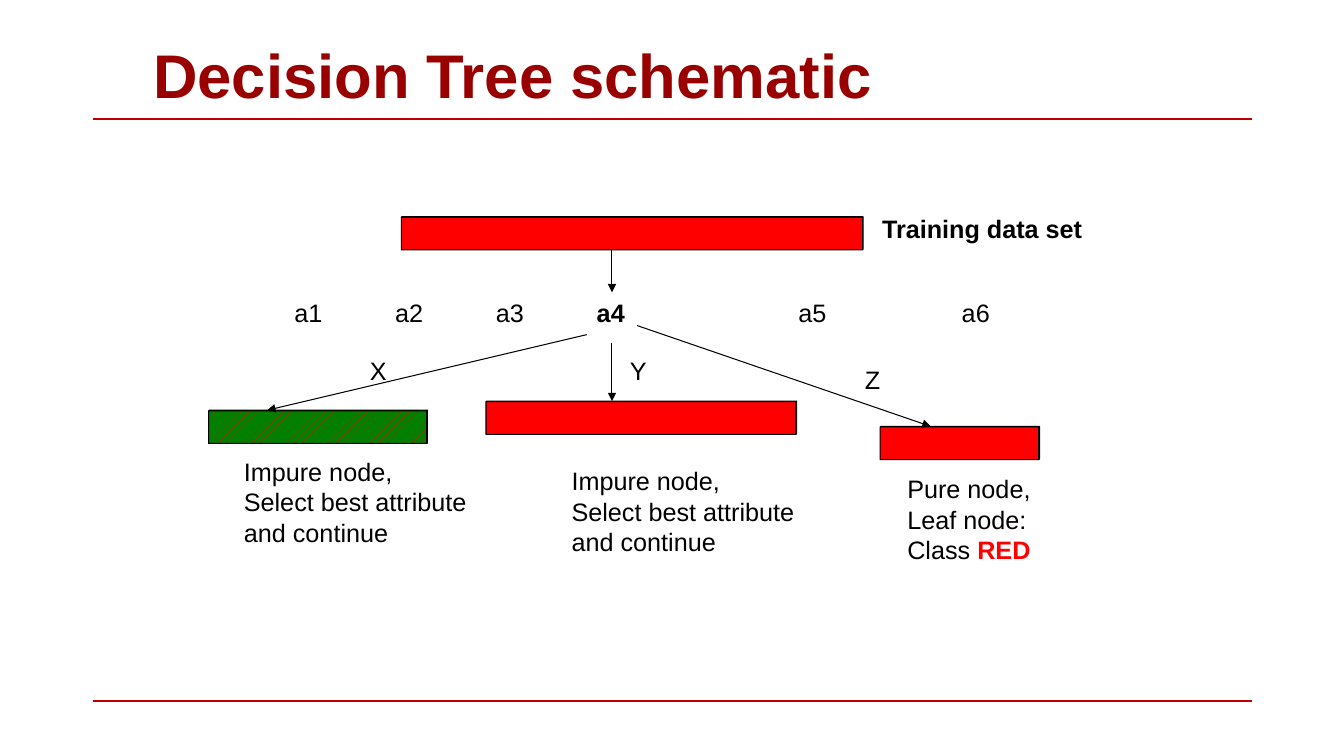
from dataclasses import dataclass
from typing import Any

from lxml import etree
from pptx import Presentation
from pptx import util as u
from pptx.dml.color import RGBColor
from pptx.enum import dml, shapes, text
from pptx.oxml import ns

EMU_PER_PX = 9144  # 100 px to the inch
BAR_HEIGHT = 33
BAR_DEPTH = 0.018
DARK_RED = RGBColor(0x99, 0x00, 0x00)
RULE_RED = RGBColor(0xC0, 0x00, 0x00)
RED = RGBColor(0xFF, 0x00, 0x00)
GREEN = RGBColor(0x00, 0x80, 0x00)
BLACK = RGBColor(0x00, 0x00, 0x00)
BODY = {"name": "Arial", "size": u.Pt(18), "bold": False}
BOLD = {"bold": True}
STRIPES = dml.MSO_PATTERN.DARK_VERTICAL
DASHES = dml.MSO_PATTERN.DASHED_UPWARD_DIAGONAL


@dataclass(frozen=True)
class Bar:
    left: int
    top: int
    width: int
    pattern: Any = None


@dataclass(frozen=True)
class Run:
    words: str
    color: RGBColor = BLACK
    bold: bool = False


@dataclass(frozen=True)
class Label:
    left: int
    top: int
    width: int
    height: int
    lines: tuple[tuple[Run, ...], ...]
    wrap: bool = False
    tabs: tuple[int, ...] = ()


@dataclass(frozen=True)
class Line:
    start: tuple[int, int]
    end: tuple[int, int]


IMPURE = ((Run("Impure node,"),), (Run("Select best attribute"),), (Run("and continue"),))
PURE = ((Run("Pure node,"),), (Run("Leaf node:"),), (Run("Class "), Run("RED", RED, True)))
ATTRIBUTES = (Run("a1\ta2\ta3\t"), Run("a4", bold=True), Run("\ta5\ta6"))

RULES = [Line((92, y), (1242, y)) for y in (118, 695)]
BARS = [
    Bar(398, 215, 458, STRIPES),
    Bar(207, 407, 217, DASHES),
    Bar(482, 398, 308, STRIPES),
    Bar(873, 423, 158),
]
ARROWS = [
    Line((607, 248), (607, 290)),
    Line((582, 332), (265, 407)),
    Line((607, 340), (607, 398)),
    Line((632, 323), (923, 423)),
]
LABELS = [
    Label(865, 207, 292, 40, ((Run("Training data set", bold=True),),), wrap=True),
    Label(282, 290, 742, 40, (ATTRIBUTES,), wrap=True, tabs=(100, 200, 300, 500, 662)),
    Label(357, 348, 37, 40, ((Run("X"),),)),
    Label(615, 348, 37, 40, ((Run("Y"),),)),
    Label(848, 357, 35, 40, ((Run("Z"),),)),
    Label(232, 448, 241, 100, IMPURE),
    Label(557, 457, 241, 100, IMPURE),
    Label(890, 465, 142, 100, PURE),
]


def px(length: int) -> u.Emu:
    return u.Emu(length * EMU_PER_PX)


def apply(target: Any, values: dict[str, Any]) -> None:
    for name, value in values.items():
        setattr(target, name, value)


def add_line(slide: Any, line: Line, color: RGBColor, width: float, arrow: bool) -> None:
    connector = slide.shapes.add_connector(
        shapes.MSO_CONNECTOR.STRAIGHT, *map(px, line.start + line.end)
    )
    connector.line.color.rgb = color
    connector.line.width = u.Pt(width)
    if arrow:
        outline = connector.line._get_or_add_ln()
        etree.SubElement(outline, ns.qn("a:tailEnd"), type="triangle")
    etree.SubElement(connector._element.spPr, ns.qn("a:effectLst"))


def add_bar(slide: Any, bar: Bar) -> None:
    shape = slide.shapes.add_shape(
        shapes.MSO_SHAPE.CUBE, px(bar.left), px(bar.top), px(bar.width), px(BAR_HEIGHT)
    )
    shape.adjustments[0] = BAR_DEPTH
    shape.shadow.inherit = False
    if bar.pattern is None:
        shape.fill.solid()
        shape.fill.fore_color.rgb = RED
    else:
        shape.fill.patterned()
        shape.fill.pattern = bar.pattern
        shape.fill.fore_color.rgb = RED
        shape.fill.back_color.rgb = GREEN
    shape.line.color.rgb = BLACK
    shape.line.width = u.Pt(0.75)


def add_tabs(paragraph: Any, tabs: tuple[int, ...]) -> None:
    tab_list = etree.SubElement(paragraph._p.get_or_add_pPr(), ns.qn("a:tabLst"))
    for position in tabs:
        etree.SubElement(tab_list, ns.qn("a:tab"), pos=str(px(position)), algn="l")


def add_label(slide: Any, label: Label) -> None:
    box = slide.shapes.add_textbox(
        px(label.left), px(label.top), px(label.width), px(label.height)
    )
    frame = box.text_frame
    apply(frame, {"word_wrap": label.wrap, "auto_size": text.MSO_AUTO_SIZE.SHAPE_TO_FIT_TEXT})
    for index, line in enumerate(label.lines):
        paragraph = frame.add_paragraph() if index else frame.paragraphs[0]
        if label.tabs:
            add_tabs(paragraph, label.tabs)
        for part in line:
            run = paragraph.add_run()
            run.text = part.words
            apply(run.font, BODY | {"bold": part.bold})
            run.font.color.rgb = part.color


def add_title(slide: Any, words: str) -> None:
    box = slide.shapes.add_textbox(px(142), px(11), px(900), px(125))
    frame = box.text_frame
    apply(frame, {"word_wrap": True, "vertical_anchor": text.MSO_ANCHOR.MIDDLE})
    run = frame.paragraphs[0].add_run()
    run.text = words
    apply(run.font, BODY | BOLD | {"size": u.Pt(44)})
    run.font.color.rgb = DARK_RED


def main() -> None:
    presentation = Presentation()
    apply(presentation, {"slide_width": px(1333), "slide_height": px(750)})
    slide = presentation.slides.add_slide(presentation.slide_layouts[6])
    for rule in RULES:
        add_line(slide, rule, RULE_RED, 1.5, arrow=False)
    add_title(slide, "Decision Tree schematic")
    for bar in BARS:
        add_bar(slide, bar)
    for arrow in ARROWS:
        add_line(slide, arrow, BLACK, 0.75, arrow=True)
    for label in LABELS:
        add_label(slide, label)
    presentation.save("out.pptx")


if __name__ == "__main__":
    main()
